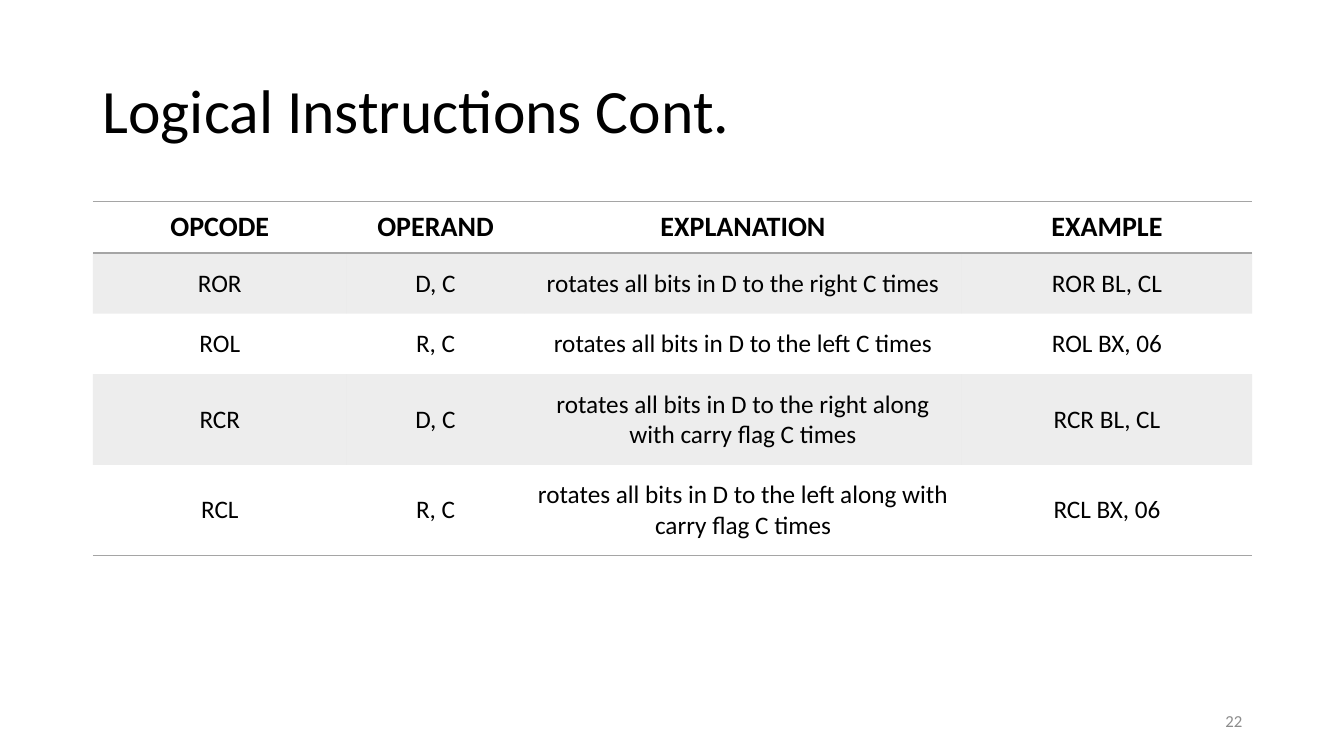
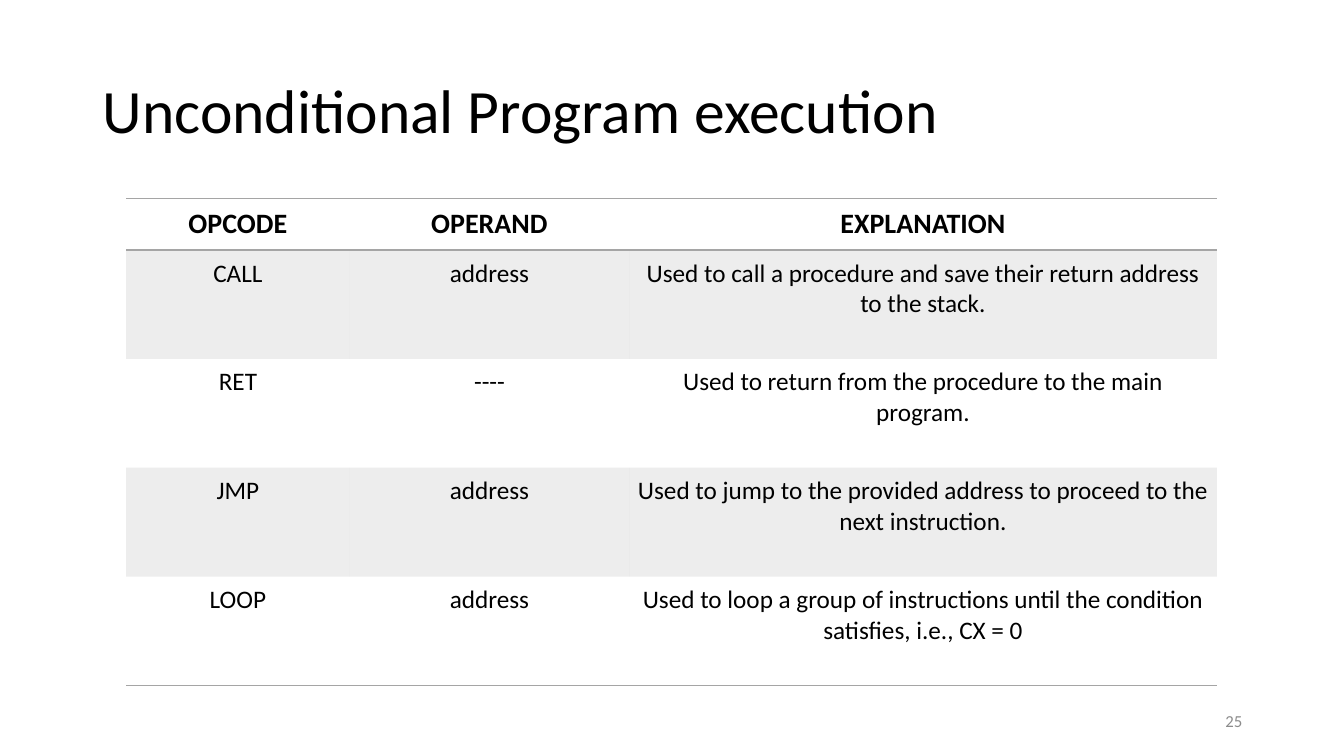
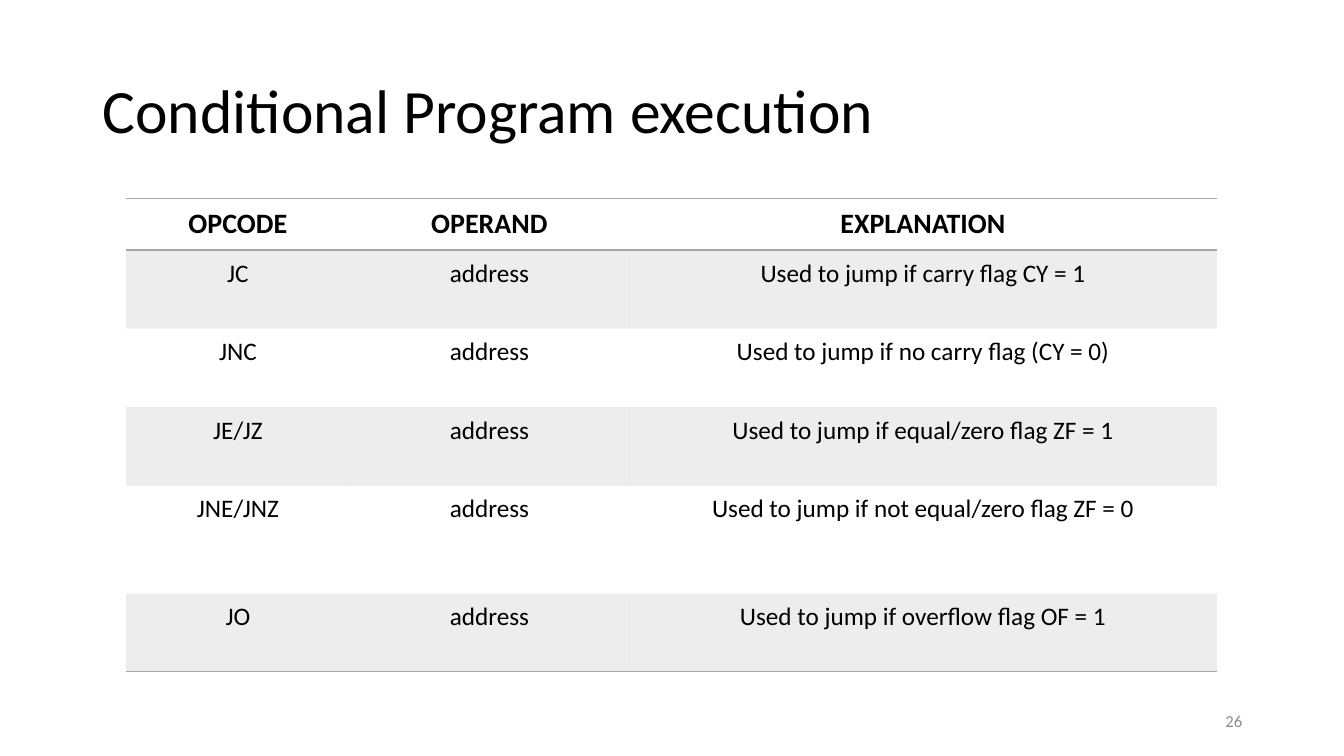
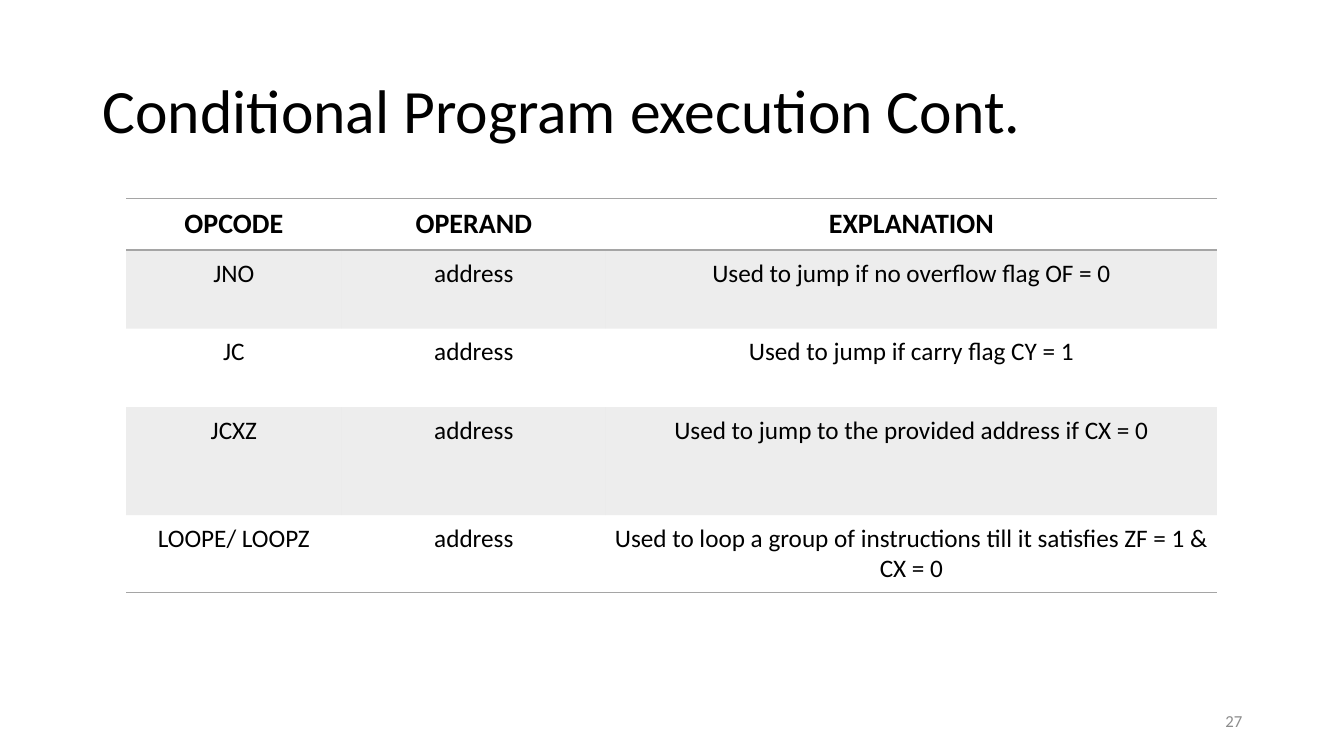
"""Build four slides of instruction tables for an assembly language course."""
from lxml import etree
from pptx import Presentation
from pptx.dml.color import RGBColor
from pptx.enum.text import MSO_ANCHOR, PP_ALIGN
from pptx.oxml.ns import qn
from pptx.util import Inches, Pt

LEFT, CENTER, RIGHT = PP_ALIGN.LEFT, PP_ALIGN.CENTER, PP_ALIGN.RIGHT
TOP, MIDDLE = MSO_ANCHOR.TOP, MSO_ANCHOR.MIDDLE

SLIDE_SIZE = (13.33, 7.5)
TITLE_BOX = (0.92, 0.4, 11.5, 1.45)
NUMBER_BOX = (9.42, 6.95, 3, 0.4)
COLORS = {"text": "000000", "number": "8C8C8C", "accent": "A5A5A5"}
BAND_OPACITY = 20
RULE_WIDTH = 1
NO_STYLE = "{2D5ABB26-0587-4C30-8999-92F81FD0307C}"

TEXT_STYLES = {
    "title": {"size": 44, "color": "text", "bold": False, "align": LEFT, "spacing": 0.9},
    "number": {"size": 12, "color": "number", "bold": False, "align": RIGHT, "spacing": 1},
    "header": {"size": 20, "color": "text", "bold": True, "align": CENTER, "spacing": 1},
    "body": {"size": 18, "color": "text", "bold": False, "align": CENTER, "spacing": 1},
}
HEADER_CELL = {"anchor": MIDDLE, "inset": (0.08, 0.08)}
LAYOUTS = {
    "with example": {"origin": (0.92, 2), "anchor": MIDDLE, "inset": (0.1, 0.15)},
    "opcodes": {"origin": (1.25, 1.97), "anchor": TOP, "inset": (0.08, 0.08)},
}
HEADERS = ["OPCODE", "OPERAND", "EXPLANATION", "EXAMPLE"]
HEADER_HEIGHT = 0.51

SLIDES = [
    {
        "title": "Logical Instructions Cont.", "number": 22, "layout": "with example",
        "columns": [2.52, 1.76, 4.34, 2.88], "heights": [0.6, 0.6, 0.9, 0.9],
        "rows": [
            ("ROR", "D, C", "rotates all bits in D to the right C times", "ROR BL, CL"),
            ("ROL", "R, C", "rotates all bits in D to the left C times", "ROL BX, 06"),
            ("RCR", "D, C", "rotates all bits in D to the right along with carry flag C times",
             "RCR BL, CL"),
            ("RCL", "R, C", "rotates all bits in D to the left along with carry flag C times",
             "RCL BX, 06"),
        ],
    },
    {
        "title": "Unconditional Program execution", "number": 25, "layout": "opcodes",
        "columns": [2.22, 2.77, 5.83], "heights": [1.08] * 4,
        "rows": [
            ("CALL", "address",
             "Used to call a procedure and save their return address to the stack."),
            ("RET", "----", "Used to return from the procedure to the main program."),
            ("JMP", "address",
             "Used to jump to the provided address to proceed to the next instruction."),
            ("LOOP", "address",
             "Used to loop a group of instructions until the condition satisfies, i.e., CX = 0"),
        ],
    },
    {
        "title": "Conditional Program execution", "number": 26, "layout": "opcodes",
        "columns": [2.22, 2.77, 5.83], "heights": [0.78, 0.78, 0.78, 1.07, 0.77],
        "rows": [
            ("JC", "address", "Used to jump if carry flag CY = 1"),
            ("JNC", "address", "Used to jump if no carry flag (CY = 0)"),
            ("JE/JZ", "address", "Used to jump if equal/zero flag ZF = 1"),
            ("JNE/JNZ", "address", "Used to jump if not equal/zero flag ZF = 0"),
            ("JO", "address", "Used to jump if overflow flag OF = 1"),
        ],
    },
    {
        "title": "Conditional Program execution Cont.", "number": 27, "layout": "opcodes",
        "columns": [2.14, 2.62, 6.06], "heights": [0.78, 0.78, 1.07, 0.77],
        "rows": [
            ("JNO", "address", "Used to jump if no overflow flag OF = 0"),
            ("JC", "address", "Used to jump if carry flag CY = 1"),
            ("JCXZ", "address", "Used to jump to the provided address if CX = 0"),
            ("LOOPE/ LOOPZ", "address",
             "Used to loop a group of instructions till it satisfies ZF = 1 & CX = 0"),
        ],
    },
]


def write_text(text_frame, text, style_name):
    style = TEXT_STYLES[style_name]
    paragraph = text_frame.paragraphs[0]
    paragraph.alignment = style["align"]
    paragraph.line_spacing = style["spacing"]
    run = paragraph.add_run()
    run.text = text
    font_values = {"name": "Calibri", "size": Pt(style["size"]), "bold": style["bold"]}
    for name, value in font_values.items():
        setattr(run.font, name, value)
    run.font.color.rgb = RGBColor.from_string(COLORS[style["color"]])


def add_text_box(slide, box, text, style_name):
    text_frame = slide.shapes.add_textbox(*map(Inches, box)).text_frame
    text_frame.word_wrap = True
    text_frame.vertical_anchor = MIDDLE
    write_text(text_frame, text, style_name)


def fill_cell(cell, banded):
    if not banded:
        cell.fill.background()
        return
    cell.fill.solid()
    cell.fill.fore_color.rgb = RGBColor.from_string(COLORS["accent"])
    color = cell._tc.tcPr.find(".//" + qn("a:srgbClr"))
    etree.SubElement(color, qn("a:alpha"), val=str(BAND_OPACITY * 1000))


def rule_cell(cell, sides):
    properties = cell._tc.get_or_add_tcPr()
    for position, side in enumerate(sides):
        line = etree.Element(qn(f"a:ln{side}"), w=str(Pt(RULE_WIDTH)))
        fill = etree.SubElement(line, qn("a:solidFill"))
        etree.SubElement(fill, qn("a:srgbClr"), val=COLORS["accent"])
        properties.insert(position, line)


def add_instruction_table(slide, content):
    layout = LAYOUTS[content["layout"]]
    columns = content["columns"]
    heights = [HEADER_HEIGHT, *content["heights"]]
    rows = [HEADERS[:len(columns)], *content["rows"]]
    box = (*layout["origin"], sum(columns), sum(heights))
    table = slide.shapes.add_table(len(rows), len(columns), *map(Inches, box)).table
    table.first_row = table.horz_banding = False
    table._tbl.tblPr.find(qn("a:tableStyleId")).text = NO_STYLE
    for column, width in zip(table.columns, columns):
        column.width = Inches(width)
    for row_index, (texts, height) in enumerate(zip(rows, heights)):
        table.rows[row_index].height = Inches(height)
        is_header = row_index == 0
        cell_format = HEADER_CELL if is_header else layout
        side_inset, end_inset = map(Inches, cell_format["inset"])
        cell_values = {
            "vertical_anchor": cell_format["anchor"],
            "margin_left": side_inset, "margin_right": side_inset,
            "margin_top": end_inset, "margin_bottom": end_inset,
        }
        sides = "TB" if is_header else "B" if row_index == len(rows) - 1 else ""
        for column_index, text in enumerate(texts):
            cell = table.cell(row_index, column_index)
            for name, value in cell_values.items():
                setattr(cell, name, value)
            write_text(cell.text_frame, text, "header" if is_header else "body")
            fill_cell(cell, row_index % 2 == 1)
            rule_cell(cell, sides)


def main():
    presentation = Presentation()
    presentation.slide_width, presentation.slide_height = map(Inches, SLIDE_SIZE)
    blank_layout = presentation.slide_layouts[6]
    for content in SLIDES:
        slide = presentation.slides.add_slide(blank_layout)
        add_text_box(slide, TITLE_BOX, content["title"], "title")
        add_text_box(slide, NUMBER_BOX, str(content["number"]), "number")
        add_instruction_table(slide, content)
    presentation.save("out.pptx")


if __name__ == "__main__":
    main()
